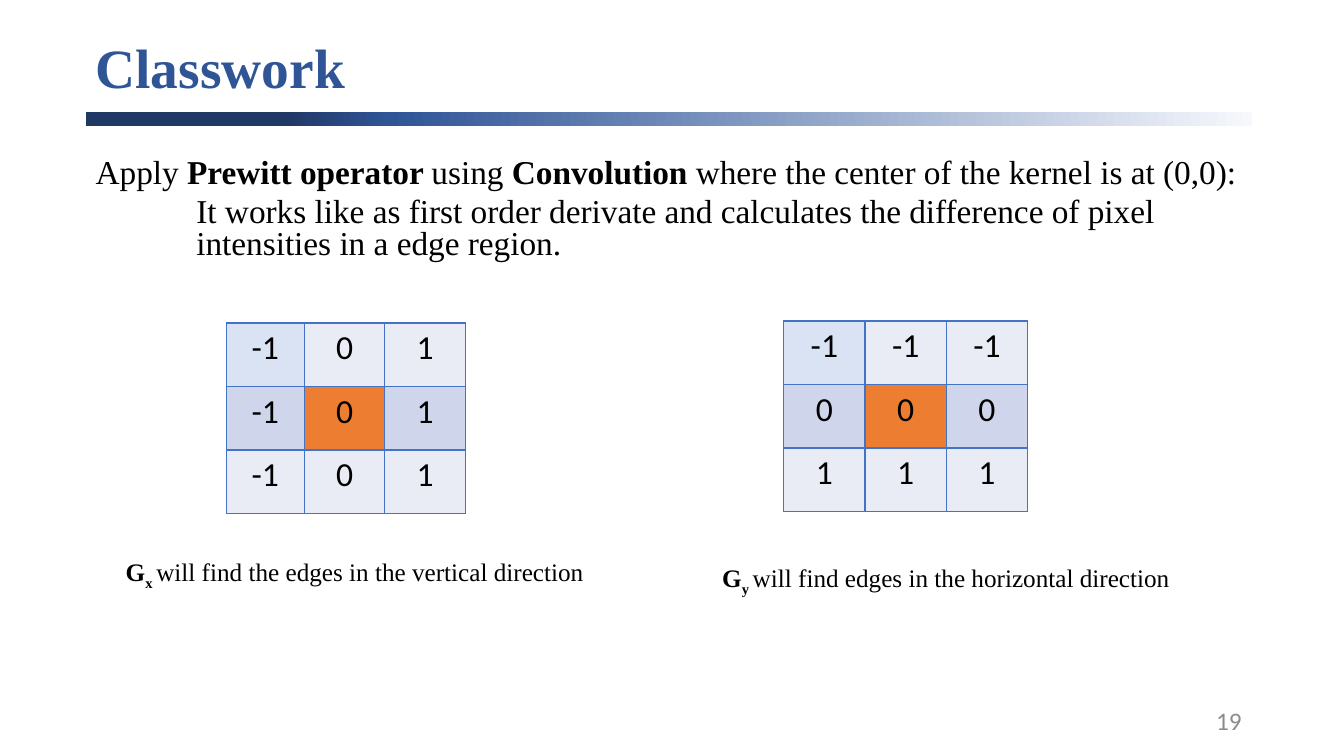
import pptx
import pptx.util
import pptx.dml.color
import pptx.enum.shapes
import pptx.enum.text
import pptx.oxml.ns
import lxml.etree
from dataclasses import dataclass

Cm, Pt = pptx.util.Cm, pptx.util.Pt
RGB = pptx.dml.color.RGBColor.from_string
ALIGN = pptx.enum.text.PP_ALIGN
ANCHOR = pptx.enum.text.MSO_ANCHOR
qn = pptx.oxml.ns.qn


@dataclass(frozen=True)
class Theme:
    serif: str = "Times New Roman"
    sans: str = "Calibri"
    black: str = "000000"
    blue: str = "2F5597"
    grey: str = "8C8C8C"
    border: str = "4472C4"
    corner: str = "DAE3F3"
    light: str = "E9EBF5"
    band: str = "CFD5EA"
    centre: str = "ED7D31"
    fade: tuple = ((0, "F6F8FC"), (74, "2F5597"), (83, "203864"), (100, "203864"))
    title: float = 39.6
    body: float = 23.8
    cell: float = 24
    small: float = 18


class Builder:
    def __init__(self, theme, slide):
        self.theme = theme
        self.slide = slide

    def style(self, run, size, font, color, bold=False):
        run.font.size = Pt(size)
        run.font.name = font
        run.font.bold = bold
        run.font.color.rgb = RGB(color)

    def colour(self, parent, color):
        return lxml.etree.SubElement(parent, qn("a:srgbClr"), val=color)

    def bar(self, left, top, width, height):
        """Rectangle that fades from dark at the left to light at the right."""
        bar = self.slide.shapes.add_shape(
            pptx.enum.shapes.MSO_SHAPE.RECTANGLE,
            Cm(left), Cm(top), Cm(width), Cm(height))
        bar.shadow.inherit = False
        bar.line.fill.background()
        bar.fill.gradient()
        bar.fill.gradient_angle = 180
        stops = bar._element.spPr.find(".//" + qn("a:gsLst"))
        stops.clear()
        for place, color in self.theme.fade:
            stop = lxml.etree.SubElement(stops, qn("a:gs"), pos=str(place * 1000))
            self.colour(stop, color)

    def box(self, left, top, width, height, anchor=ANCHOR.TOP):
        box = self.slide.shapes.add_textbox(Cm(left), Cm(top), Cm(width), Cm(height))
        frame = box.text_frame
        frame.word_wrap = True
        frame.vertical_anchor = anchor
        return frame

    def fill(self, para, parts, size, font=None, color=None):
        """Add (text, bold) parts to a paragraph as runs."""
        for text, bold in parts:
            run = para.add_run()
            run.text = text
            self.style(run, size, font or self.theme.serif,
                       color or self.theme.black, bold)

    def label(self, left, top, width, sub, text):
        """Caption that starts with a bold G and its subscript."""
        para = self.box(left, top, width, 1.02).paragraphs[0]
        self.fill(para, [("G", True), (sub + " ", True), (text, False)],
                  self.theme.small)
        para.runs[1].font._element.set("baseline", "-25000")

    def edge(self, cell):
        props = cell._tc.get_or_add_tcPr()
        for i, side in enumerate(("a:lnL", "a:lnR", "a:lnT", "a:lnB")):
            line = lxml.etree.Element(qn(side), w=str(Pt(1)))
            self.colour(lxml.etree.SubElement(line, qn("a:solidFill")),
                        self.theme.border)
            props.insert(i, line)

    def shade(self, row, col):
        if (row, col) == (0, 0):
            return self.theme.corner
        if (row, col) == (1, 1):
            return self.theme.centre
        return self.theme.band if row == 1 else self.theme.light

    def kernel(self, left, top, widths, values, height=1.6):
        count = len(values)
        table = self.slide.shapes.add_table(
            count, len(widths), Cm(left), Cm(top),
            Cm(sum(widths)), Cm(height * count)).table
        table.first_row = table.horz_banding = False
        for col, width in zip(table.columns, widths):
            col.width = Cm(width)
        for r, row in enumerate(values):
            table.rows[r].height = Cm(height)
            for c, value in enumerate(row):
                cell = table.cell(r, c)
                cell.fill.solid()
                cell.fill.fore_color.rgb = RGB(self.shade(r, c))
                self.edge(cell)
                para = cell.text_frame.paragraphs[0]
                para.text = str(value)
                para.alignment = ALIGN.CENTER
                self.style(para.runs[0], self.theme.cell,
                           self.theme.sans, self.theme.black)


def main():
    deck = pptx.Presentation()
    deck.slide_width, deck.slide_height = Cm(33.87), Cm(19.05)
    theme = Theme()
    page = Builder(theme, deck.slides.add_slide(deck.slide_layouts[6]))

    # Title and rule
    page.bar(2.16, 2.83, 29.39, 0.34)
    title = page.box(2.16, 0.91, 29.21, 1.75, ANCHOR.MIDDLE).paragraphs[0]
    title.line_spacing = 0.9
    page.fill(title, [("Classwork", True)], theme.title, color=theme.blue)

    # Task
    body = page.box(2.16, 3.89, 29.77, 3)
    task, note = body.paragraphs[0], body.add_paragraph()
    page.fill(task, [
        ("Apply ", False), ("Prewitt operator ", True), ("using ", False),
        ("Convolution ", True),
        ("where the center of the kernel is at (0,0):", False)], theme.body)
    page.fill(note, [(
        "It works like as first order derivate and calculates the difference "
        "of pixel intensities in a edge region.", False)], theme.body)
    for para, space in ((task, 10), (note, 5)):
        para.line_spacing = 0.8
        para.space_before = Pt(space)
    note._p.get_or_add_pPr().set("marL", str(Cm(2.54)))

    # Kernels: the second is the first one transposed
    across = [(-1, 0, 1)] * 3
    down = list(zip(*across))
    page.kernel(5.7, 8.14, (1.97, 2.03, 2.03), across)
    page.kernel(19.75, 8.09, (2.05,) * 3, down)

    # Captions
    page.label(2.92, 13.9, 13.1, "x", "will find the edges in the vertical direction")
    page.label(17.95, 14.05, 12.11, "y", "will find edges in the horizontal direction")

    # Page number
    number = page.box(23.92, 17.65, 7.62, 1.01, ANCHOR.MIDDLE).paragraphs[0]
    number.alignment = ALIGN.RIGHT
    page.fill(number, [("19", False)], theme.small, theme.sans, theme.grey)

    deck.save("out.pptx")


if __name__ == "__main__":
    main()
